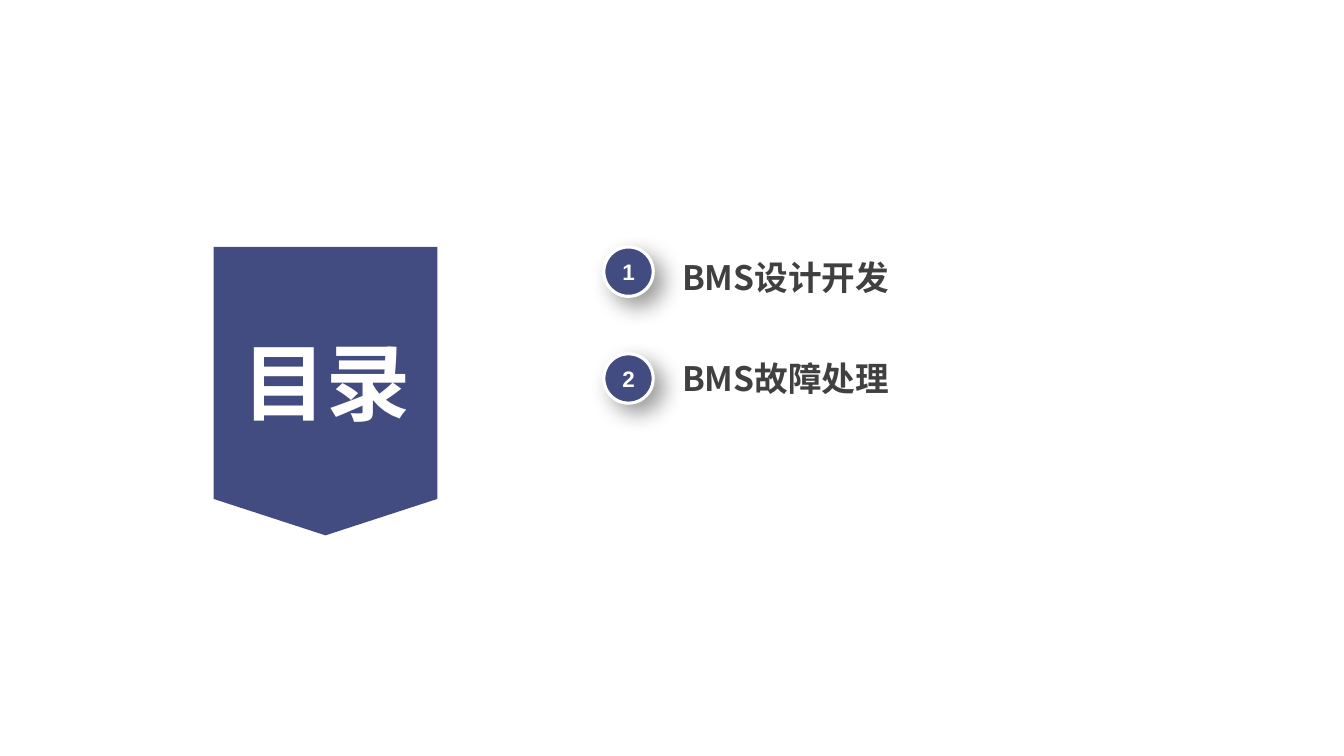
"""Build a contents slide with a banner and two numbered topics."""
from lxml.etree import SubElement
from pptx import Presentation
from pptx.dml.color import RGBColor
from pptx.enum.shapes import MSO_SHAPE
from pptx.enum.text import MSO_ANCHOR, MSO_AUTO_SIZE, PP_ALIGN
from pptx.oxml.ns import qn
from pptx.util import Pt

TITLE = "目录"
TOPICS = ["BMS设计开发", "BMS故障处理"]
THEME = {
    "navy": RGBColor.from_string("424C80"),
    "white": RGBColor.from_string("FFFFFF"),
    "grey": RGBColor.from_string("404040"),
    "latin": "Arial",
    "asian": "Noto Sans CJK SC",
    "title": 60,
    "topic": 24,
    "number": 16,
}
BANNER = {"left": 152.6, "top": 176.4, "width": 159.8, "side": 180, "height": 206}
HEADING = (172.8, 247, 120.2, 50.4)
BADGE = {"left": 431.3, "top": 176.4, "size": 35.3, "step": 76.3}
LABEL = {"left": 480.2, "top": 180, "step": 72, "height": 36}
WIDTHS = [335.5, 371.5]
INSETS = ("margin_left", "margin_top", "margin_right", "margin_bottom")


def write(shape, text, size, color, font, align, **frame):
    """Put one bold line of text in a shape."""
    box = shape.text_frame
    for name, value in {"word_wrap": True, **frame}.items():
        setattr(box, name, value)
    para = box.paragraphs[0]
    para.alignment = align
    run = para.add_run()
    run.text = text
    looks = {"name": THEME[font], "size": Pt(THEME[size]), "bold": True}
    for name, value in looks.items():
        setattr(run.font, name, value)
    run.font.color.rgb = THEME[color]
    SubElement(run.font._element, qn("a:ea"), typeface=THEME["asian"])


def paint(shape):
    """Fill a shape with navy and clear its shadow."""
    shape.shadow.inherit = False
    shape.fill.solid()
    shape.fill.fore_color.rgb = THEME["navy"]


def shade(shape):
    """Cast a soft shadow down to the right."""
    effects = shape._element.spPr.find(qn("a:effectLst"))
    shadow = SubElement(
        effects, qn("a:outerShdw"), blurRad=str(Pt(16)), dist=str(Pt(9)),
        dir=str(45 * 60000), algn="tl", rotWithShape="0")
    color = SubElement(shadow, qn("a:srgbClr"), val="000000")
    SubElement(color, qn("a:alpha"), val="40000")


def draw_banner(slide):
    """Draw the pointed banner and its heading as a group."""
    group = slide.shapes.add_group_shape()
    left, top, width = (BANNER[key] for key in ("left", "top", "width"))
    right, side = left + width, top + BANNER["side"]
    edge = [(right, top), (right, side),
            (left + width / 2, top + BANNER["height"]), (left, side)]
    path = group.shapes.build_freeform(Pt(left), Pt(top))
    path.add_line_segments([(Pt(x), Pt(y)) for x, y in edge])
    flag = path.convert_to_shape()
    paint(flag)
    flag.line.fill.background()
    head = group.shapes.add_textbox(*map(Pt, HEADING))
    write(head, TITLE, "title", "white", "latin", PP_ALIGN.CENTER,
          vertical_anchor=MSO_ANCHOR.MIDDLE,
          auto_size=MSO_AUTO_SIZE.SHAPE_TO_FIT_TEXT, **dict.fromkeys(INSETS, 0))


def draw_topic(slide, index, text, width):
    """Draw a numbered badge and the topic beside it."""
    label = slide.shapes.add_textbox(
        Pt(LABEL["left"]), Pt(LABEL["top"] + index * LABEL["step"]),
        Pt(width), Pt(LABEL["height"]))
    write(label, text, "topic", "grey", "asian", PP_ALIGN.JUSTIFY,
          auto_size=MSO_AUTO_SIZE.SHAPE_TO_FIT_TEXT)
    size = Pt(BADGE["size"])
    badge = slide.shapes.add_shape(
        MSO_SHAPE.OVAL, Pt(BADGE["left"]),
        Pt(BADGE["top"] + index * BADGE["step"]), size, size)
    paint(badge)
    badge.line.color.rgb = THEME["white"]
    badge.line.width = Pt(2.25)
    shade(badge)
    write(badge, str(index + 1), "number", "white", "latin", PP_ALIGN.CENTER,
          vertical_anchor=MSO_ANCHOR.MIDDLE, **dict.fromkeys(INSETS, 0))


def main():
    """Build and save the slide."""
    deck = Presentation()
    deck.slide_width, deck.slide_height = Pt(960), Pt(540)
    slide = deck.slides.add_slide(deck.slide_layouts[6])
    draw_banner(slide)
    for index, (text, width) in enumerate(zip(TOPICS, WIDTHS)):
        draw_topic(slide, index, text, width)
    deck.save("out.pptx")


if __name__ == "__main__":
    main()
